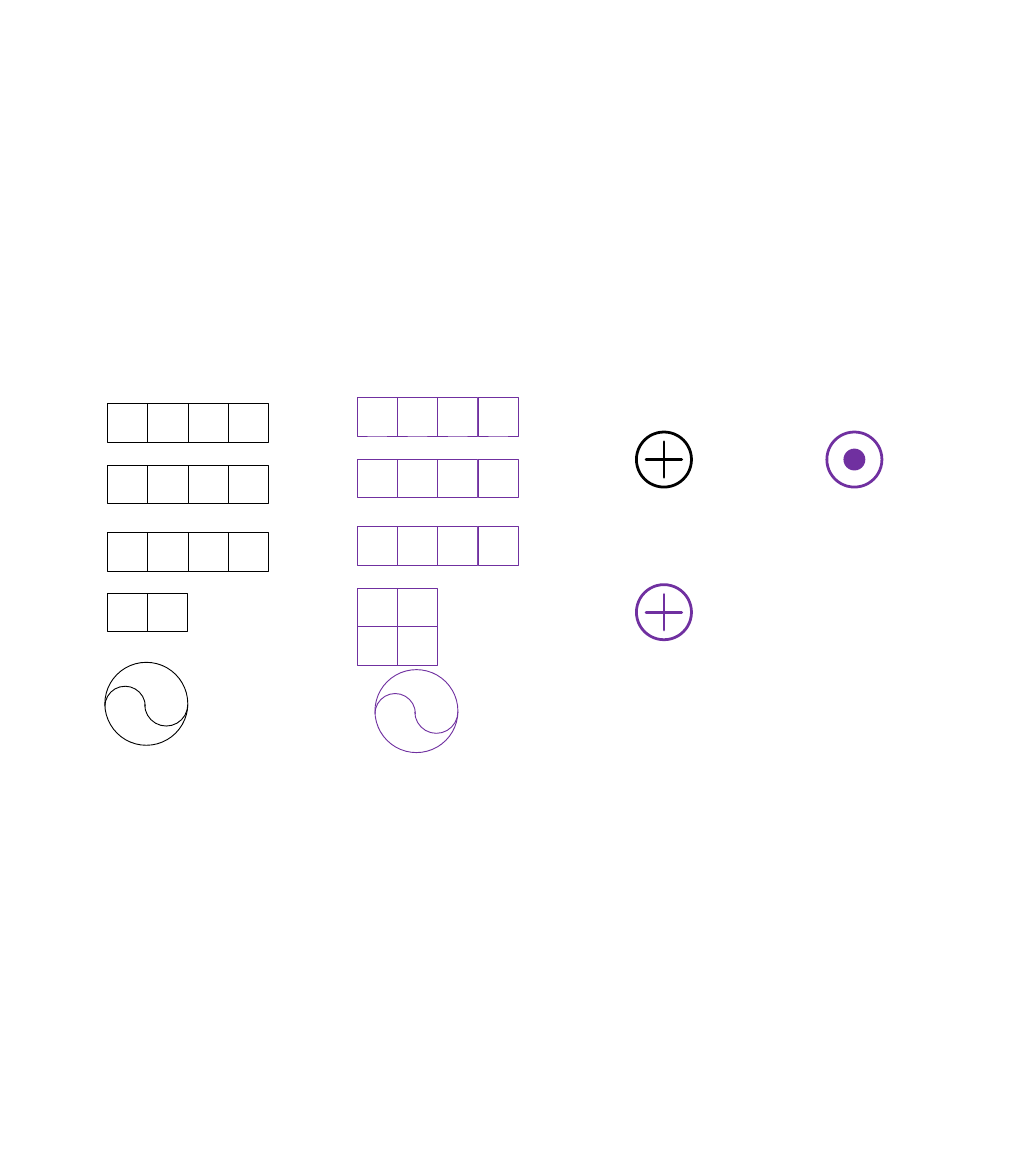
from pptx import Presentation
from pptx.dml.color import RGBColor
from pptx.enum.shapes import MSO_SHAPE
from pptx.util import Pt

SCALE = 9144  # EMU in one px, 100 px to the inch
BLACK = RGBColor(0x00, 0x00, 0x00)
PURPLE = RGBColor(0x70, 0x30, 0xA0)
WHITE = RGBColor(0xFF, 0xFF, 0xFF)

CELL_HEIGHT = 58
SWIRL_SIZE = 125
SIGN_SIZE = 83

# colour, left, then (top, cells, width) of each row
CELL_COLUMNS = [
    (BLACK, 162, [(608, 4, 243), (701, 4, 243), (803, 4, 243), (894, 2, 121)]),
    (PURPLE, 538, [(599, 4, 243), (692, 4, 243), (794, 4, 243),
                   (886, 2, 121), (944, 2, 121)]),
]
SWIRLS = [(158, 998, BLACK), (565, 1009, PURPLE)]
PLUS_SIGNS = [(959, 651, BLACK), (959, 881, PURPLE)]
DOT_SIGNS = [(1246, 651, PURPLE)]


def px(length):
    return round(length * SCALE)


def add_figure(group, kind, left, top, width, height, fill=None, line=None, weight=1):
    figure = group.shapes.add_shape(kind, px(left), px(top), px(width), px(height))
    figure.shadow.inherit = False
    if fill is None:
        figure.fill.background()
    else:
        figure.fill.solid()
        figure.fill.fore_color.rgb = fill
    if line is None:
        figure.line.fill.background()
    else:
        figure.line.color.rgb = line
        figure.line.width = Pt(weight)
    return figure


def add_cell_row(page, left, top, width, cells, color):
    group = page.shapes.add_group_shape()
    pitch = width / cells
    for index in range(cells):
        add_figure(group, MSO_SHAPE.RECTANGLE, left + index * pitch, top,
                   pitch, CELL_HEIGHT, WHITE, color)


def add_swirl(page, left, top, color):
    """Circle split by an S-curve made of four quarter arcs."""
    group = page.shapes.add_group_shape()
    add_figure(group, MSO_SHAPE.OVAL, left, top, SWIRL_SIZE, SWIRL_SIZE, WHITE, color)
    for x, y, size, rotations in [(0, 36, 61, (0, 270)), (60, 31, 65, (180, 90))]:
        for rotation in rotations:
            arc = add_figure(group, MSO_SHAPE.ARC, left + x, top + y, size, size,
                             line=color)
            arc.rotation = rotation


def add_ring(page, left, top, color):
    group = page.shapes.add_group_shape()
    add_figure(group, MSO_SHAPE.OVAL, left, top, SIGN_SIZE, SIGN_SIZE, WHITE, color, 3)
    return group


def add_plus_sign(page, left, top, color):
    group = add_ring(page, left, top, color)
    inset = 5
    size = SIGN_SIZE - 2 * inset
    plus = add_figure(group, MSO_SHAPE.MATH_PLUS, left + inset, top + inset,
                      size, size, WHITE, color, 3)
    plus.adjustments[0] = 0


def add_dot_sign(page, left, top, color):
    group = add_ring(page, left, top, color)
    inset = 25
    size = SIGN_SIZE - 2 * inset
    add_figure(group, MSO_SHAPE.OVAL, left + inset, top + inset, size, size, color)


def main():
    deck = Presentation()
    deck.slide_width = px(1540)
    deck.slide_height = px(1772)
    page = deck.slides.add_slide(deck.slide_layouts[6])

    for color, left, rows in CELL_COLUMNS:
        for top, cells, width in rows:
            add_cell_row(page, left, top, width, cells, color)
    for swirl in SWIRLS:
        add_swirl(page, *swirl)
    for sign in PLUS_SIGNS:
        add_plus_sign(page, *sign)
    for sign in DOT_SIGNS:
        add_dot_sign(page, *sign)

    deck.save("out.pptx")


if __name__ == "__main__":
    main()
